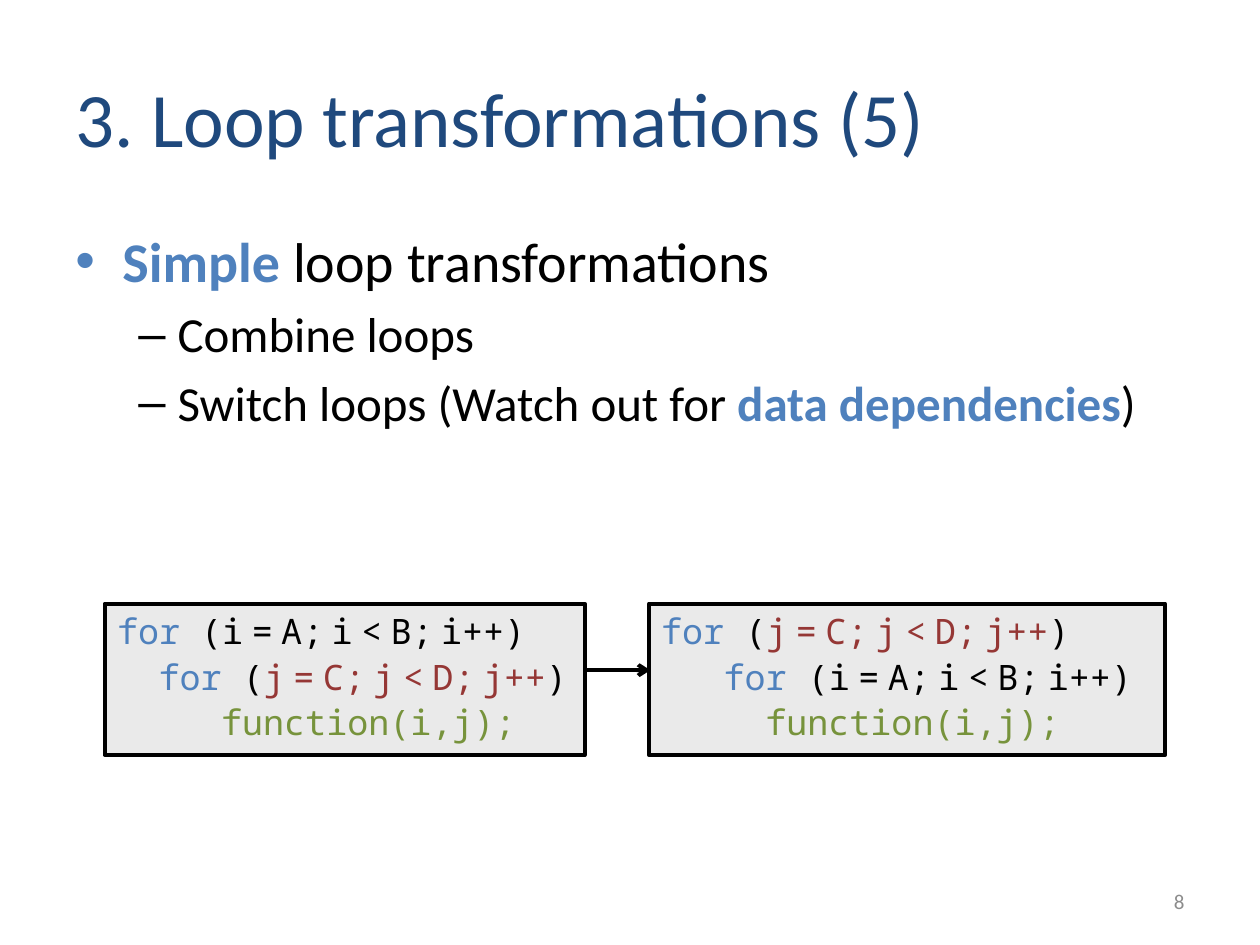
from lxml import etree
from pptx import Presentation
from pptx.dml.color import RGBColor
from pptx.enum.shapes import MSO_CONNECTOR, MSO_SHAPE
from pptx.enum.text import MSO_ANCHOR, PP_ALIGN
from pptx.oxml.ns import qn
from pptx.util import Cm, Pt

STRAIGHT = MSO_CONNECTOR.STRAIGHT
RECTANGLE = MSO_SHAPE.RECTANGLE
TOP, MIDDLE = MSO_ANCHOR.TOP, MSO_ANCHOR.MIDDLE
LEFT, RIGHT = PP_ALIGN.LEFT, PP_ALIGN.RIGHT

COLORS = {
    "title": "1F497D", "accent": "4F81BD", "text": "000000", "inner": "953735",
    "call": "77933C", "panel": "EAEAEA", "number": "8C8C8C",
}
MONO = "Noto Sans Mono"
CHAR_WIDTH = 0.42


def write(paragraph, text, size=20, color="text", font="Calibri", bold=False):
    run = paragraph.add_run()
    run.text = text
    run.font.size = Pt(size)
    run.font.name = font
    run.font.bold = bold
    run.font.color.rgb = RGBColor.from_string(COLORS[color])


def start_paragraph(frame, first, before=0, margin=0, hanging=0, bullet=None):
    paragraph = frame.paragraphs[0] if first else frame.add_paragraph()
    paragraph.alignment = LEFT
    paragraph.space_before = Pt(before)
    properties = paragraph._p.get_or_add_pPr()
    properties.set("marL", str(Cm(margin)))
    properties.set("indent", str(Cm(-hanging)))
    if bullet:
        etree.SubElement(properties, qn("a:buFont")).set("typeface", "Arial")
        etree.SubElement(properties, qn("a:buChar")).set("char", bullet)
    return paragraph


prs = Presentation()
prs.slide_width, prs.slide_height = Cm(25.4), Cm(19.05)
slide = prs.slides.add_slide(prs.slide_layouts[6])

frames = {}
for part, box, anchor in [
    ("title", (1.27, 0.76, 22.86, 3.18), MIDDLE),
    ("points", (1.27, 4.45, 22.86, 12.57), TOP),
    ("number", (18.2, 17.65, 5.93, 1.02), MIDDLE),
]:
    frames[part] = slide.shapes.add_textbox(*map(Cm, box)).text_frame
    frames[part].word_wrap = True
    frames[part].vertical_anchor = anchor

write(start_paragraph(frames["title"], True), "3. Loop transformations (5)", size=44, color="title")
page = start_paragraph(frames["number"], True)
page.alignment = RIGHT
write(page, "8", size=12, color="number")

LEVELS = [
    dict(size=32, margin=0.95, hanging=0.95, bullet="•"),
    dict(size=28, margin=2.06, hanging=0.79, bullet="–"),
]
POINTS = [
    (0, [("Simple", True), (" loop transformations", False)]),
    (1, [("Combine loops", False)]),
    (1, [("Switch loops (Watch out for ", False), ("data dependencies", True), (")", False)]),
]
for index, (level, pieces) in enumerate(POINTS):
    layout = dict(LEVELS[level])
    size = layout.pop("size")
    point = start_paragraph(frames["points"], index == 0, before=size * 0.2, **layout)
    for text, strong in pieces:
        write(point, text, size=size, color="accent" if strong else "text", bold=strong)

arrow = slide.shapes.add_connector(STRAIGHT, Cm(11.51), Cm(13.51), Cm(13.11), Cm(13.51))
arrow.line.color.rgb = RGBColor.from_string(COLORS["text"])
arrow.line.width = Pt(2.25)
etree.SubElement(arrow.line._get_or_add_ln(), qn("a:tailEnd")).set("type", "arrow")
etree.SubElement(arrow._element.spPr, qn("a:effectLst"))

I_LOOP = ("i = A; i < B; i++", "text")
J_LOOP = ("j = C; j < D; j++", "inner")
for left, width, loops, nested_indent in [
    (2.11, 9.68, (I_LOOP, J_LOOP), 2),
    (13.08, 10.41, (J_LOOP, I_LOOP), 3),
]:
    panel = slide.shapes.add_shape(RECTANGLE, Cm(left), Cm(12.17), Cm(width), Cm(3.05))
    panel.shadow.inherit = False
    panel.fill.solid()
    panel.fill.fore_color.rgb = RGBColor.from_string(COLORS["panel"])
    panel.line.color.rgb = RGBColor.from_string(COLORS["text"])
    panel.line.width = Pt(2.25)
    code = panel.text_frame
    code.word_wrap = True
    code.vertical_anchor = TOP
    code.margin_right = 0
    for depth, (header, color) in enumerate(loops):
        line = start_paragraph(code, depth == 0, before=2, margin=depth * nested_indent * CHAR_WIDTH)
        write(line, "for", color="accent", font=MONO)
        write(line, " (", font=MONO)
        for position, token in enumerate(header.split()):
            if position:
                write(line, " ", size=8, font=MONO)
            write(line, token, color=color, font=MONO)
        write(line, ")", font=MONO)
    call = start_paragraph(code, False, before=2, margin=5 * CHAR_WIDTH)
    write(call, "function(i,j);", color="call", font=MONO)

prs.save("out.pptx")
